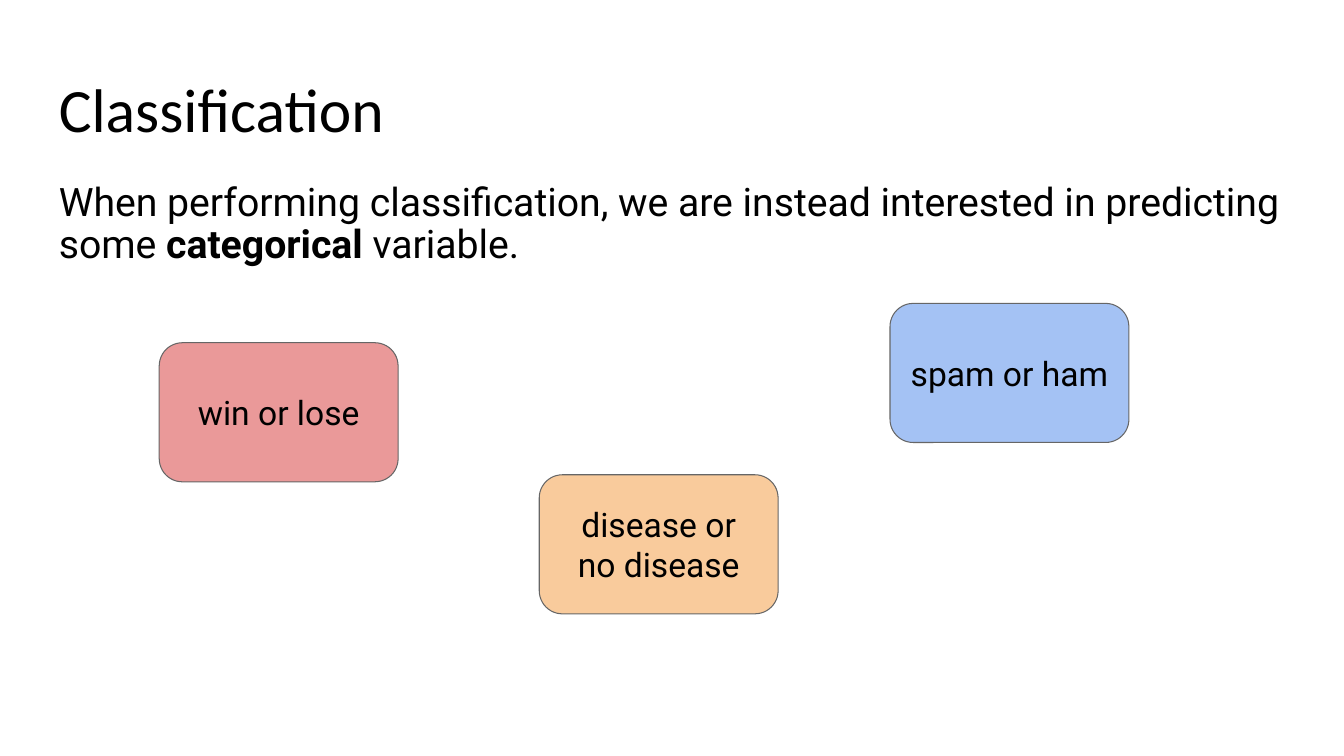
"""Build the classification slide with three examples of categorical variables."""
from dataclasses import dataclass

from pptx import Presentation
from pptx.dml.color import RGBColor
from pptx.enum.shapes import MSO_SHAPE
from pptx.enum.text import MSO_ANCHOR, PP_ALIGN
from pptx.slide import Slide
from pptx.text.text import TextFrame
from pptx.util import Pt


@dataclass(frozen=True)
class Theme:
    """Colours, fonts and type sizes of the slide."""

    ink: str = "000000"
    outline: str = "666666"
    red: str = "EA9999"
    orange: str = "F9CB9C"
    blue: str = "A4C2F4"
    head_font: str = "Calibri"
    body_font: str = "Roboto"
    title_size: float = 44
    body_size: float = 28
    card_size: float = 24


@dataclass(frozen=True)
class Run:
    """A stretch of text with one weight."""

    text: str
    bold: bool = False


@dataclass(frozen=True)
class TextBlock:
    """A full-width text box."""

    top: float
    height: float
    runs: tuple[Run, ...]
    font: str
    size: float
    space_after: float = 0


@dataclass(frozen=True)
class Card:
    """A rounded box naming one categorical variable."""

    left: float
    top: float
    fill: str
    label: str


THEME = Theme()
SLIDE_W, SLIDE_H = 960, 540
MARGIN_LEFT, TEXT_W = 32.4, 894.24
CARD_W, CARD_H = 170.64, 99.36
INSET = 9.6

BLOCKS = (
    TextBlock(46.8, 60.48, (Run("Classification"),), THEME.head_font, THEME.title_size),
    TextBlock(
        120.96,
        53.28,
        (
            Run("When performing classification, we are instead interested in predicting some "),
            Run("categorical ", bold=True),
            Run("variable."),
        ),
        THEME.body_font,
        THEME.body_size,
        space_after=10.7,
    ),
)
CARDS = (
    Card(113.76, 244.8, THEME.red, "win or lose"),
    Card(385.2, 339.12, THEME.orange, "disease or no disease"),
    Card(635.76, 216.72, THEME.blue, "spam or ham"),
)


def write(tf: TextFrame, runs: tuple[Run, ...], font: str, size: float,
          anchor: MSO_ANCHOR, para: dict[str, object]) -> None:
    """Fill a text frame with one formatted paragraph."""
    frame = {"word_wrap": True, "vertical_anchor": anchor}
    frame |= {f"margin_{side}": Pt(INSET) for side in ("left", "top", "right", "bottom")}
    for name, value in frame.items():
        setattr(tf, name, value)
    p = tf.paragraphs[0]
    for name, value in para.items():
        setattr(p, name, value)
    for run in runs:
        r = p.add_run()
        r.text = run.text
        for name, value in {"name": font, "size": Pt(size), "bold": run.bold}.items():
            setattr(r.font, name, value)
        r.font.color.rgb = RGBColor.from_string(THEME.ink)


def add_block(s: Slide, block: TextBlock) -> None:
    """Add a text box across the slide."""
    sp = s.shapes.add_textbox(Pt(MARGIN_LEFT), Pt(block.top), Pt(TEXT_W), Pt(block.height))
    para = {"line_spacing": 0.9, "space_after": Pt(block.space_after)}
    write(sp.text_frame, block.runs, block.font, block.size, MSO_ANCHOR.TOP, para)


def add_card(s: Slide, card: Card) -> None:
    """Add a rounded box with a centred label."""
    sp = s.shapes.add_shape(MSO_SHAPE.ROUNDED_RECTANGLE, Pt(card.left), Pt(card.top),
                            Pt(CARD_W), Pt(CARD_H))
    sp.shadow.inherit = False
    sp.fill.solid()
    sp.fill.fore_color.rgb = RGBColor.from_string(card.fill)
    sp.line.color.rgb = RGBColor.from_string(THEME.outline)
    sp.line.width = Pt(0.75)
    write(sp.text_frame, (Run(card.label),), THEME.body_font, THEME.card_size,
          MSO_ANCHOR.MIDDLE, {"alignment": PP_ALIGN.CENTER})


def main() -> None:
    """Create the presentation and save it."""
    prs = Presentation()
    prs.slide_width, prs.slide_height = Pt(SLIDE_W), Pt(SLIDE_H)
    s = prs.slides.add_slide(prs.slide_layouts[6])
    for block in BLOCKS:
        add_block(s, block)
    for card in CARDS:
        add_card(s, card)
    prs.save("out.pptx")


if __name__ == "__main__":
    main()
